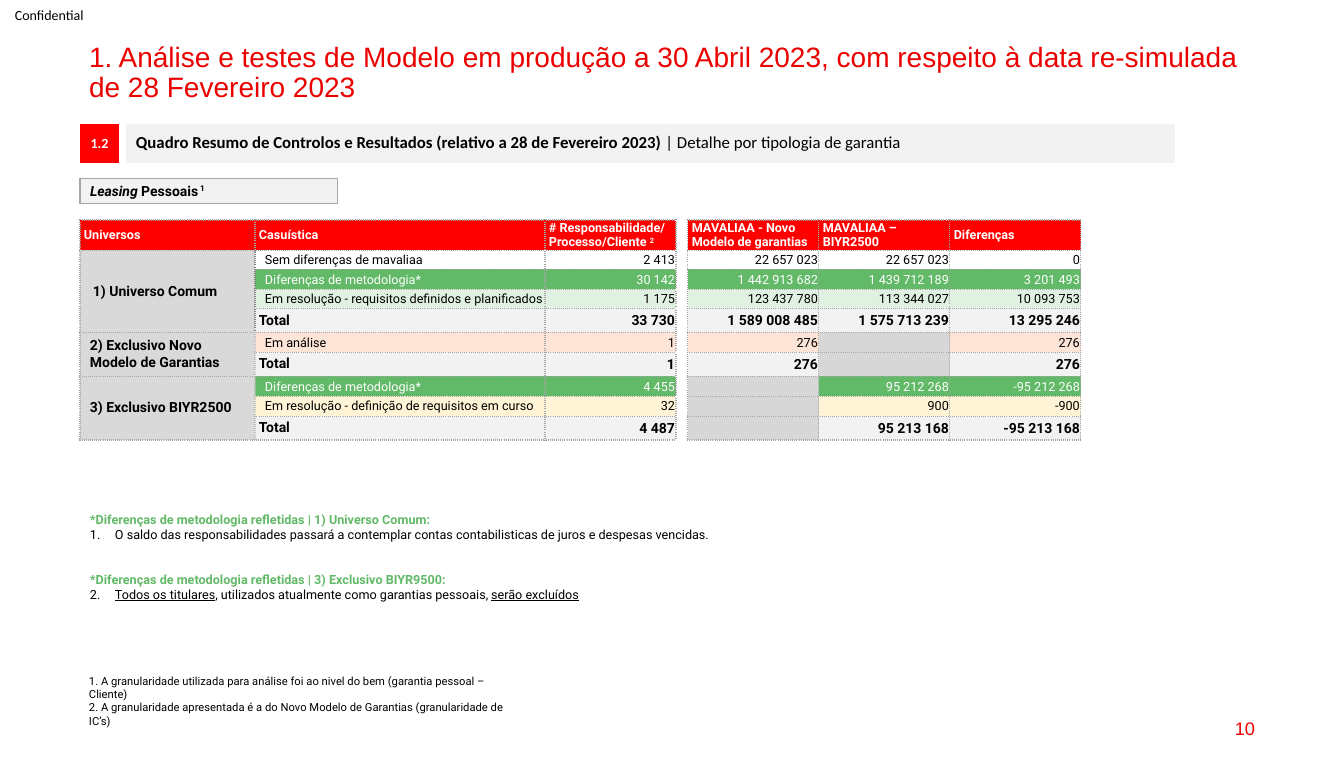
import dataclasses

import lxml.etree
import pptx
import pptx.dml.color
import pptx.enum.shapes
import pptx.enum.text
import pptx.oxml.ns
import pptx.util

EMU_PER_PX = 914400 / 100.8
LEFT = pptx.enum.text.PP_ALIGN.LEFT
CENTER = pptx.enum.text.PP_ALIGN.CENTER
RIGHT = pptx.enum.text.PP_ALIGN.RIGHT
TOP = pptx.enum.text.MSO_ANCHOR.TOP
MIDDLE = pptx.enum.text.MSO_ANCHOR.MIDDLE
PADDING = (10, 5, 10, 5)
HEADER_PADDING = (4, 0, 4, 0)
CASE_PADDING = (10, 1, 1, 0)
VALUE_PADDING = (1, 1, 1, 0)


@dataclasses.dataclass(frozen=True)
class Theme:
    red: str = "FF0000"
    title_red: str = "EB0000"
    black: str = "000000"
    white: str = "FFFFFF"
    green: str = "62B967"
    pale_green: str = "E0F1E1"
    peach: str = "FCE4D6"
    cream: str = "FFF5D6"
    panel: str = "F2F2F2"
    universe: str = "D9D9D9"
    empty: str = "D7D7D7"
    border: str = "A6A6A6"
    dark_seam: str = "808080"
    light_seam: str = "BFBFBF"
    heading_font: str = "Arial"
    banner_font: str = "Calibri"
    body_font: str = "Roboto"
    title_size: int = 20
    page_size: int = 13
    banner_size: int = 12
    label_size: int = 10
    body_size: int = 9
    footnote_size: int = 8


THEME = Theme()
SUPERSCRIPT = {"baseline": 30000}
PLAIN = {"bold": False}
UNDERLINED = {"bold": False, "underline": True}

HEADERS = {
    0: ["Universos"],
    1: ["Casuística"],
    2: ["# Responsabilidade/", ["Processo/Cliente ", ("2", SUPERSCRIPT)]],
    4: ["MAVALIAA - Novo Modelo de garantias"],
    5: ["MAVALIAA – BIYR2500"],
    6: ["Diferenças"],
}
COLUMN_WIDTHS = [175, 290, 131, 12, 131, 131, 131]
ROW_HEIGHTS = [30, 19, 20, 19, 24, 20, 24, 20, 20, 24]
GAP_COLUMN = 3
VALUE_COLUMNS = [2, 4, 5, 6]

UNIVERSES = [
    ("1) Universo Comum", 13, THEME.dark_seam, [
        ("Sem diferenças de mavaliaa", None, ["2 413", "22 657 023", "22 657 023", "0"]),
        ("Diferenças de metodologia*", THEME.green,
         ["30 142", "1 442 913 682", "1 439 712 189", "3 201 493"]),
        ("Em resolução - requisitos definidos e planificados", THEME.pale_green,
         ["1 175", "123 437 780", "113 344 027", "10 093 753"]),
        ("Total", THEME.panel, ["33 730", "1 589 008 485", "1 575 713 239", "13 295 246"]),
    ]),
    ("2) Exclusivo Novo Modelo de Garantias", 10, THEME.light_seam, [
        ("Em análise", THEME.peach, ["1", "276", "", "276"]),
        ("Total", THEME.panel, ["1", "276", "", "276"]),
    ]),
    ("3) Exclusivo BIYR2500", 10, THEME.light_seam, [
        ("Diferenças de metodologia*", THEME.green, ["4 455", "", "95 212 268", "-95 212 268"]),
        ("Em resolução - definição de requisitos em curso", THEME.cream,
         ["32", "", "900", "-900"]),
        ("Total", THEME.panel, ["4 487", "", "95 213 168", "-95 213 168"]),
    ]),
]


def px(length):
    return pptx.util.Emu(round(length * EMU_PER_PX))


def rgb(color):
    return pptx.dml.color.RGBColor.from_string(color)


def write(frame, paragraphs, *, font=THEME.body_font, size=THEME.body_size,
          color=THEME.black, bold=False, align=LEFT, line_spacing=None):
    for index, content in enumerate(paragraphs):
        paragraph = frame.add_paragraph() if index else frame.paragraphs[0]
        paragraph.alignment = align
        if line_spacing:
            paragraph.line_spacing = line_spacing
        for piece in [content] if isinstance(content, str) else content:
            words, changes = (piece, {}) if isinstance(piece, str) else piece
            if not words:
                lxml.etree.SubElement(paragraph._p, pptx.oxml.ns.qn("a:endParaRPr"),
                                      sz=str(size * 100))
                continue
            run = paragraph.add_run()
            run.text = words
            run.font.name = font
            run.font.size = pptx.util.Pt(size)
            run.font.bold = changes.get("bold", bold)
            run.font.italic = changes.get("italic")
            run.font.underline = changes.get("underline")
            run.font.color.rgb = rgb(changes.get("color", color))
            if "baseline" in changes:
                run._r.get_or_add_rPr().set("baseline", str(changes["baseline"]))


def pad(target, padding):
    target.margin_left, target.margin_top, target.margin_right, target.margin_bottom = map(
        px, padding)


def add_text(slide, box, paragraphs, anchor=TOP, padding=PADDING, **text_format):
    frame = slide.shapes.add_textbox(*map(px, box)).text_frame
    frame.word_wrap = True
    frame.vertical_anchor = anchor
    pad(frame, padding)
    write(frame, paragraphs, **text_format)
    return frame


def add_panel(slide, box, fill, content, outline=None, **text_format):
    panel = slide.shapes.add_shape(pptx.enum.shapes.MSO_SHAPE.RECTANGLE, *map(px, box))
    panel.shadow.inherit = False
    panel.fill.solid()
    panel.fill.fore_color.rgb = rgb(fill)
    if outline:
        panel.line.color.rgb = rgb(outline)
        panel.line.width = pptx.util.Pt(0.75)
    else:
        panel.line.fill.background()
    frame = panel.text_frame
    frame.word_wrap = True
    frame.vertical_anchor = MIDDLE
    pad(frame, PADDING)
    write(frame, [content], line_spacing=0.9, **text_format)


def number_paragraph(paragraph, start):
    properties = paragraph._p.get_or_add_pPr()
    properties.set("marL", str(px(25)))
    properties.set("indent", str(px(-25)))
    lxml.etree.SubElement(properties, pptx.oxml.ns.qn("a:buAutoNum"),
                          type="arabicPeriod", startAt=str(start))


def set_borders(cell, **colors):
    for side, color in colors.items():
        edge = lxml.etree.SubElement(cell._tc.get_or_add_tcPr(),
                                     pptx.oxml.ns.qn(f"a:ln{side}"), w="12700")
        solid = lxml.etree.SubElement(edge, pptx.oxml.ns.qn("a:solidFill"))
        lxml.etree.SubElement(solid, pptx.oxml.ns.qn("a:srgbClr"), val=color)
        lxml.etree.SubElement(edge, pptx.oxml.ns.qn("a:prstDash"), val="sysDot")


def fill_cell(cell, paragraphs, fill, padding, left=THEME.border, right=THEME.border,
              framed=True, **text_format):
    set_borders(cell, L=left, R=right)
    if framed:
        set_borders(cell, T=THEME.border, B=THEME.border)
    if fill:
        cell.fill.solid()
        cell.fill.fore_color.rgb = rgb(fill)
    else:
        cell.fill.background()
    cell.vertical_anchor = MIDDLE
    pad(cell, padding)
    write(cell.text_frame, paragraphs, **text_format)


def fill_case_row(table, row, case, tone, values, seam):
    total = case == "Total"
    style = {"size": THEME.label_size if total else THEME.body_size, "bold": total,
             "color": THEME.white if tone == THEME.green else THEME.black}
    fill_cell(table.cell(row, 1), [case], tone, HEADER_PADDING if total else CASE_PADDING,
              left=seam, **style)
    for column, value in zip(VALUE_COLUMNS, values):
        fill_cell(table.cell(row, column), [value], tone if value else THEME.empty,
                  VALUE_PADDING, align=RIGHT, **style)


def add_results_table(slide):
    table = slide.shapes.add_table(len(ROW_HEIGHTS), len(COLUMN_WIDTHS), px(80), px(220),
                                   px(sum(COLUMN_WIDTHS)), px(sum(ROW_HEIGHTS))).table
    table.first_row = table.horz_banding = False
    for column, width in zip(table.columns, COLUMN_WIDTHS):
        column.width = px(width)
    for row, height in zip(table.rows, ROW_HEIGHTS):
        row.height = px(height)
    for column, heading in HEADERS.items():
        fill_cell(table.cell(0, column), heading, THEME.red, HEADER_PADDING,
                  color=THEME.white, bold=True)
    for row in range(len(ROW_HEIGHTS)):
        fill_cell(table.cell(row, GAP_COLUMN), [""], None, VALUE_PADDING, framed=False)
    first = 1
    for universe, inset, seam, cases in UNIVERSES:
        last = first + len(cases) - 1
        for row, (case, tone, values) in enumerate(cases, first):
            fill_cell(table.cell(row, 0), [universe if row == first else ""], THEME.universe,
                      (inset, 5, 10, 5) if row == first else VALUE_PADDING, right=seam,
                      size=THEME.label_size, bold=True)
            fill_case_row(table, row, case, tone, values, seam)
        table.cell(first, 0).merge(table.cell(last, 0))
        first = last + 1


def add_methodology_notes(slide):
    heading = {"bold": True, "color": THEME.green}
    notes = add_text(slide, (80, 507, 1063, 151), [
        [("*Diferenças de metodologia refletidas | 1) Universo Comum:", heading)],
        "O saldo das responsabilidades passará a contemplar contas contabilisticas de juros "
        "e despesas vencidas.",
        [("*Diferenças de metodologia refletidas | 3) Exclusivo BIYR9500:", heading)],
        [("Todos os titulares", UNDERLINED), ", utilizados atualmente como garantias pessoais, ",
         ("serão excluídos", UNDERLINED)],
    ])
    notes.paragraphs[2].space_before = pptx.util.Pt(21)
    number_paragraph(notes.paragraphs[1], 1)
    number_paragraph(notes.paragraphs[3], 2)


def main():
    deck = pptx.Presentation()
    deck.slide_width, deck.slide_height = px(1344), px(782)
    slide = deck.slides.add_slide(deck.slide_layouts[6])
    add_text(slide, (0, 0, 100, 29), ["Confidential"], anchor=MIDDLE, padding=(15, 0, 0, 0),
             font=THEME.banner_font, size=THEME.label_size)
    add_text(slide, (79, 38, 1186, 34),
             ["1. Análise e testes de Modelo em produção a 30 Abril 2023, com respeito à data "
              "re-simulada de 28 Fevereiro 2023"], font=THEME.heading_font,
             size=THEME.title_size, color=THEME.title_red, line_spacing=0.9)
    add_text(slide, (963, 708, 302, 41), ["10"], anchor=MIDDLE, font=THEME.heading_font,
             size=THEME.page_size, color=THEME.title_red, align=RIGHT)
    add_panel(slide, (80, 124, 39, 39), THEME.red, "1.2", font=THEME.banner_font,
              size=THEME.label_size, color=THEME.white, bold=True, align=CENTER)
    add_panel(slide, (126, 124, 1049, 39), THEME.panel,
              ["Quadro Resumo de Controlos e Resultados (relativo a 28 de Fevereiro 2023) ",
               ("| Detalhe por tipologia de garantia", PLAIN)],
              font=THEME.banner_font, size=THEME.banner_size, bold=True)
    add_panel(slide, (80, 179, 258, 25), THEME.panel,
              [("Leasing ", {"italic": True}), "Pessoais", (" 1", SUPERSCRIPT)],
              outline=THEME.border, size=THEME.label_size, bold=True)
    add_results_table(slide)
    add_text(slide, (79, 669, 437, 37),
             ["1. A granularidade utilizada para análise foi ao nivel do bem (garantia pessoal "
              "– Cliente)",
              "2. A granularidade apresentada é a do Novo Modelo de Garantias (granularidade "
              "de IC’s)"], size=THEME.footnote_size)
    add_methodology_notes(slide)
    deck.save("out.pptx")


if __name__ == "__main__":
    main()
